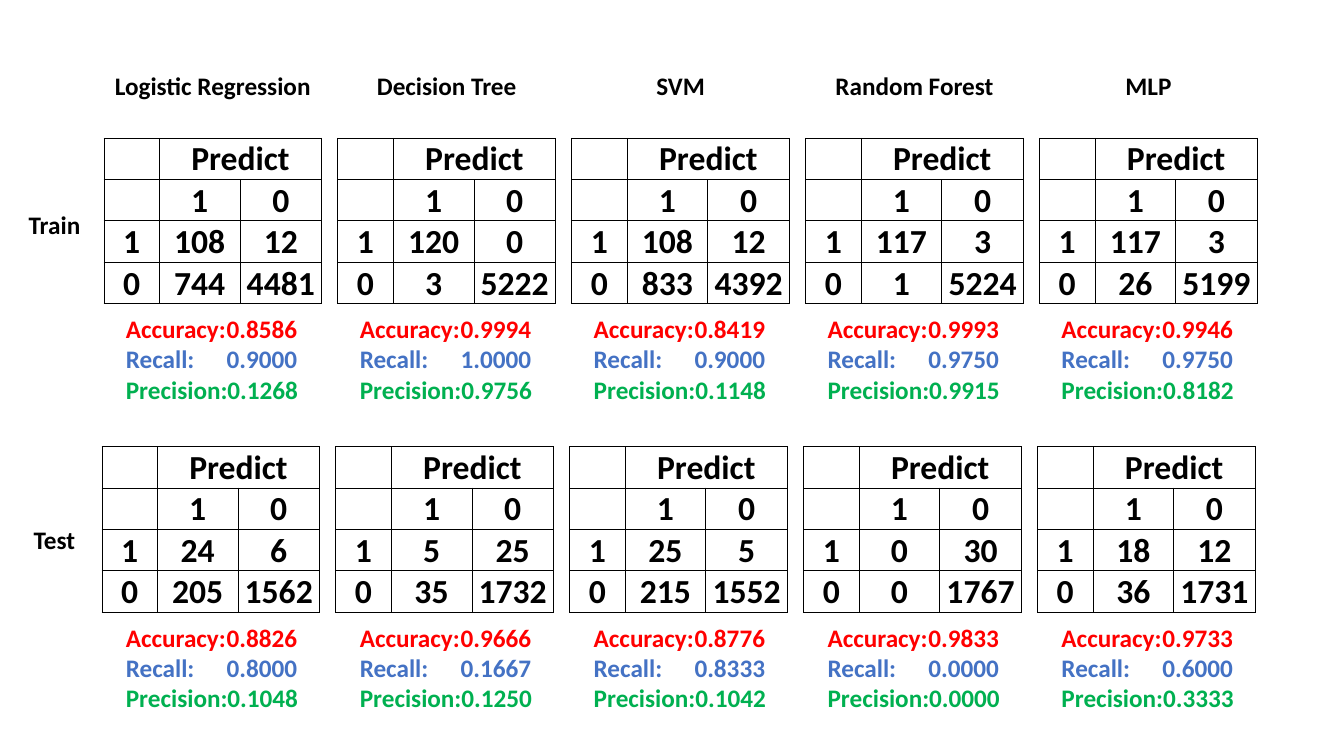
from lxml import etree
from pptx import Presentation
from pptx.dml.color import RGBColor as RGB
from pptx.enum.text import MSO_ANCHOR as ANCHOR, MSO_AUTO_SIZE as AUTO, PP_ALIGN as ALIGN
from pptx.oxml.ns import qn
from pptx.util import Inches, Pt

COLORS = {"text": "000000", "accuracy": "FF0000", "recall": "4472C4", "precision": "00B050"}
FONT = "Calibri"

# Grid: one column per model, rows as high as a table row (inches)
COL, ROW = 2.32, 0.41
GRID_LEFT, HEADING_TOP = 0.95, 0.65
TABLE_COLS = (0.55, 0.8, 0.81)

# Counts per model: true positive, false negative, false positive, true negative
MODELS = ("Logistic Regression", "Decision Tree", "SVM", "Random Forest", "MLP")
BANDS = (
    {"name": "Train", "top": 1.37, "label_top": 2.03, "indent": 0.08,
     "counts": ((108, 12, 744, 4481), (120, 0, 3, 5222), (108, 12, 833, 4392),
                (117, 3, 1, 5224), (117, 3, 26, 5199))},
    {"name": "Test", "top": 4.43, "label_top": 5.15, "indent": 0.06,
     "counts": ((24, 6, 205, 1562), (5, 25, 35, 1732), (25, 5, 215, 1552),
                (0, 30, 0, 1767), (18, 12, 36, 1731))},
)


def write(p, text, color="text", size=18, align=ALIGN.CENTER):
    """Put one bold run of text into a paragraph."""
    p.alignment = align
    r = p.add_run()
    r.text = text
    for name, value in {"name": FONT, "size": Pt(size), "bold": True}.items():
        setattr(r.font, name, value)
    r.font.color.rgb = RGB.from_string(COLORS[color])


def add_box(s, x, y, w, h):
    """Add a wrapping text box and return its text frame."""
    tf = s.shapes.add_textbox(*map(Inches, (x, y, w, h))).text_frame
    tf.word_wrap = True
    tf.auto_size = AUTO.SHAPE_TO_FIT_TEXT
    return tf


def add_label(s, text, x, y, w):
    """Add a centred one-line heading."""
    write(add_box(s, x, y, w, 0.4).paragraphs[0], text)


def format_cell(cell):
    """Give a cell thin black borders, no fill and tight margins."""
    tc_pr = cell._tc.get_or_add_tcPr()
    for side in "LRTB":
        ln = etree.SubElement(tc_pr, qn(f"a:ln{side}"), w=str(Pt(0.5)))
        fill = etree.SubElement(ln, qn("a:solidFill"))
        etree.SubElement(fill, qn("a:srgbClr"), val=COLORS["text"])
    cell.fill.background()
    margin = Inches(0.01)
    for name, value in {"margin_left": margin, "margin_right": margin, "margin_top": margin,
                        "margin_bottom": 0, "vertical_anchor": ANCHOR.BOTTOM}.items():
        setattr(cell, name, value)


def add_matrix(s, counts, x, y):
    """Add a confusion matrix with its top left corner at x, y."""
    tp, fn, fp, tn = counts
    rows = (("", "Predict", ""), ("", 1, 0), (1, tp, fn), (0, fp, tn))
    size = map(Inches, (x, y, sum(TABLE_COLS), ROW * len(rows)))
    table = s.shapes.add_table(len(rows), len(TABLE_COLS), *size).table
    table.first_row = table.horz_banding = False
    for column, width in zip(table.columns, TABLE_COLS):
        column.width = Inches(width)
    for i, values in enumerate(rows):
        for j, value in enumerate(values):
            cell = table.cell(i, j)
            format_cell(cell)
            if value != "":
                write(cell.text_frame.paragraphs[0], str(value), size=24)
    table.cell(0, 1).merge(table.cell(0, 2))


def add_metrics(s, counts, x, y):
    """Add the scores that follow from the counts, one per line."""
    tp, fn, fp, tn = counts
    scores = (("accuracy", "Accuracy:\t", tp + tn, sum(counts)),
              ("recall", "Recall:\t", tp, tp + fn),
              ("precision", "Precision:", tp, tp + fp))
    tf = add_box(s, x, y, 2.13, 1.01)
    for i, (color, label, part, whole) in enumerate(scores):
        p = tf.add_paragraph() if i else tf.paragraphs[0]
        write(p, f"{label}{part / max(whole, 1):.4f}", color, align=ALIGN.LEFT)


def add_band(s, band, x, y):
    """Add one data set: its label, and a matrix with scores per model."""
    add_label(s, band["name"], 0, band["label_top"], 1.08)
    for i, counts in enumerate(band["counts"]):
        left = x + i * COL
        add_matrix(s, counts, left + band["indent"], y)
        add_metrics(s, counts, left + 0.2, y + 1.69)


def add_comparison(prs):
    """Add the slide that compares all models on both data sets."""
    s = prs.slides.add_slide(prs.slide_layouts[6])
    for i, model in enumerate(MODELS):
        add_label(s, model, GRID_LEFT + i * COL, HEADING_TOP, COL)
    for band in BANDS:
        add_band(s, band, GRID_LEFT, band["top"])


prs = Presentation()
prs.slide_width, prs.slide_height = Inches(13.33), Inches(7.5)
add_comparison(prs)
prs.save("out.pptx")
